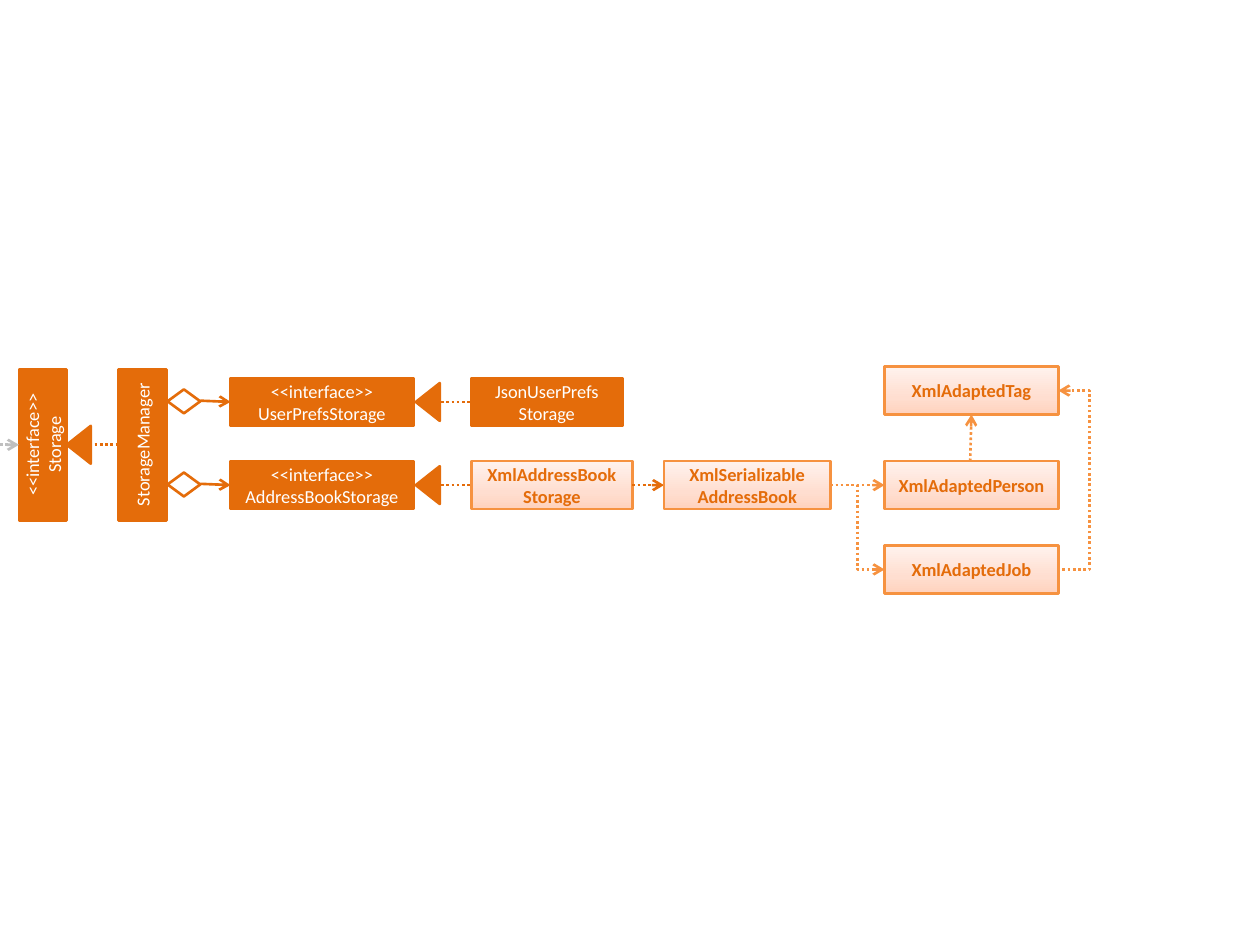
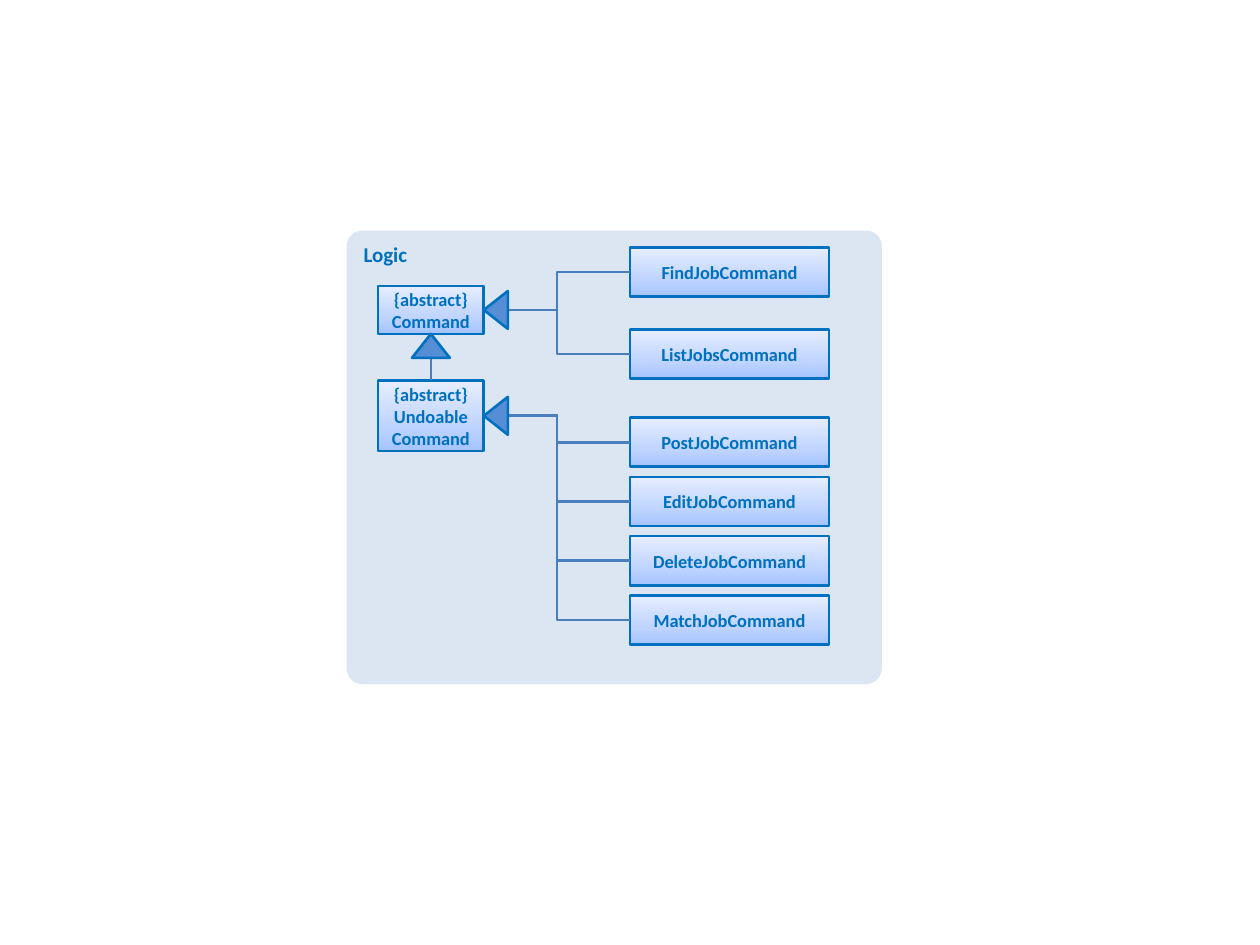
from copy import deepcopy

from lxml import etree
from pptx import Presentation
from pptx.dml.color import RGBColor
from pptx.enum.dml import MSO_LINE
from pptx.enum.shapes import MSO_CONNECTOR, MSO_SHAPE
from pptx.enum.text import MSO_ANCHOR, PP_ALIGN
from pptx.oxml.ns import qn
from pptx.util import Inches, Pt

RECTANGLE, ROUNDED = MSO_SHAPE.RECTANGLE, MSO_SHAPE.ROUNDED_RECTANGLE
TRIANGLE, DIAMOND = MSO_SHAPE.ISOSCELES_TRIANGLE, MSO_SHAPE.FLOWCHART_DECISION
STRAIGHT, ELBOW = MSO_CONNECTOR.STRAIGHT, MSO_CONNECTOR.ELBOW
DOTTED = MSO_LINE.ROUND_DOT
CENTER, MIDDLE = PP_ALIGN.CENTER, MSO_ANCHOR.MIDDLE

FONT = "Calibri"
WHITE, GRAY = "FFFFFF", "BFBFBF"
ORANGE, LIGHT_ORANGE = "E46C0A", "F69240"
BLUE, LINK_BLUE, ARROW_BLUE, PANEL_BLUE = "0070C0", "4B7EBC", "558ED5", "DCE6F2"
PEACH_SHADES = ("FFD2BD", "FFDED0", "FFF2ED")
BLUE_SHADES = ("A4C4FF", "BFD4FF", "E6EEFF")
SHADE_POSITIONS = (0, 0.35, 1)
BOX_HEIGHT = 0.38
TRIANGLE_BASE, TRIANGLE_HEIGHT = 0.3, 0.19
LINE_WIDTH = Pt(1.5)


def color(hex_code):
    return RGBColor.from_string(hex_code)


def fill_shades(shape, shades):
    """Fill with three shades running from the bottom edge to the top."""
    shape.fill.gradient()
    shape.fill.gradient_angle = 90
    first = shape._element.spPr.find(".//" + qn("a:gs"))
    first.addnext(deepcopy(first))
    for stop, shade, position in zip(shape.fill.gradient_stops, shades, SHADE_POSITIONS):
        stop.color.rgb = color(shade)
        stop.position = position


def write(shape, text, size, hex_code, bold):
    frame = shape.text_frame
    frame.word_wrap = True
    frame.text = text
    for para in frame.paragraphs:
        para.font.name = FONT
        para.font.size = Pt(size)
        para.font.bold = bold
        para.font.color.rgb = color(hex_code)
    return frame


class Diagram:
    """Draws on a page with all lengths in inches from its own corner."""

    def __init__(self, page, left, top):
        self.shapes = page.shapes
        self.left, self.top = left, top

    def point(self, x, y):
        return Inches(self.left + x), Inches(self.top + y)

    def shape(self, kind, x, y, width, height, fill=None, line=None):
        shape = self.shapes.add_shape(kind, *self.point(x, y), Inches(width), Inches(height))
        shape.shadow.inherit = False
        if isinstance(fill, tuple):
            fill_shades(shape, fill)
        elif fill:
            shape.fill.solid()
            shape.fill.fore_color.rgb = color(fill)
        else:
            shape.fill.background()
        if line:
            shape.line.color.rgb = color(line)
            shape.line.width = LINE_WIDTH
        else:
            shape.line.fill.background()
        return shape

    def class_box(self, text, x, middle, width, look, height=BOX_HEIGHT):
        fill, line, text_color, bold = look
        box = self.shape(RECTANGLE, x, middle - height / 2, width, height, fill, line)
        frame = write(box, text, 10.5, text_color, bold)
        frame.vertical_anchor = MIDDLE
        frame.margin_left = frame.margin_right = frame.margin_top = frame.margin_bottom = 0
        for para in frame.paragraphs:
            para.alignment = CENTER
        return box

    def triangle_left(self, tip_x, tip_y, fill, line):
        x = tip_x + (TRIANGLE_HEIGHT - TRIANGLE_BASE) / 2
        y = tip_y - TRIANGLE_HEIGHT / 2
        triangle = self.shape(TRIANGLE, x, y, TRIANGLE_BASE, TRIANGLE_HEIGHT, fill, line)
        triangle.rotation = 270

    def link(self, start, end, line, kind=STRAIGHT, dotted=False, arrow=False, bend=None):
        """Join two points; bend places an elbow as a multiple of its width."""
        link = self.shapes.add_connector(kind, *self.point(*start), *self.point(*end))
        link.line.color.rgb = color(line)
        link.line.width = LINE_WIDTH
        properties = link._element.spPr
        if dotted:
            link.line.dash_style = DOTTED
        if arrow:
            etree.SubElement(properties.find(qn("a:ln")), qn("a:tailEnd"), type="arrow")
        if bend is not None:
            guides = properties.find(qn("a:prstGeom")).get_or_add_avLst()
            etree.SubElement(guides, qn("a:gd"), name="adj1", fmla=f"val {bend * 100000}")
        etree.SubElement(properties, qn("a:effectLst"))


SOLID = (ORANGE, ORANGE, WHITE, False)
PEACH = (PEACH_SHADES, LIGHT_ORANGE, ORANGE, True)
SHADED_BLUE = (BLUE_SHADES, BLUE, BLUE, True)


def storage_row(diagram, middle, interface, implementation, width, look):
    diagram.class_box(interface, 1.68, middle, 1.45, SOLID)
    diagram.shape(DIAMOND, 1.18, middle - 0.1, 0.26, 0.19, line=ORANGE)
    diagram.link((1.44, middle - 0.01), (1.68, middle), ORANGE, arrow=True)
    diagram.link((3.35, middle), (3.59, middle), ORANGE, dotted=True)
    diagram.triangle_left(3.15, middle, ORANGE, ORANGE)
    diagram.class_box(implementation, 3.59, middle, width, look)


def storage_diagram(page, left, top):
    diagram = Diagram(page, left, top)
    center, prefs, book = 0.62, 0.28, 0.94
    tag, job = 0.19, 1.61
    for text, x in (("<<interface>>\nStorage", -0.41), ("StorageManager", 0.38)):
        diagram.class_box(text, x, center, 1.2, SOLID).rotation = 270
    diagram.triangle_left(0.38, center, ORANGE, ORANGE)
    diagram.link((-left, center), (0, center), GRAY, dotted=True, arrow=True)
    diagram.link((0.56, center), (0.8, center), ORANGE, dotted=True)

    storage_row(diagram, prefs, "<<interface>>\vUserPrefsStorage",
                "JsonUserPrefs\vStorage", 1.2, SOLID)
    storage_row(diagram, book, "<<interface>>\vAddressBookStorage",
                "XmlAddressBook\vStorage", 1.28, PEACH)
    diagram.link((4.87, book), (5.12, book), ORANGE, dotted=True, arrow=True)
    diagram.class_box("XmlSerializable\vAddressBook", 5.12, book, 1.32, PEACH)

    for name, middle in (("Tag", tag), ("Person", book), ("Job", job)):
        diagram.class_box("XmlAdapted" + name, 6.87, middle, 1.38, PEACH)
    dotted_arrow = {"line": LIGHT_ORANGE, "dotted": True, "arrow": True}
    diagram.link((6.44, book), (6.87, book), **dotted_arrow)
    diagram.link((6.44, book), (6.87, job), kind=ELBOW, **dotted_arrow)
    diagram.link((7.55, book - 0.19), (7.56, tag + 0.19), **dotted_arrow)
    diagram.link((8.24, job), (8.25, tag), kind=ELBOW, bend=26, **dotted_arrow)


def command_family(diagram, parent_middle, first_middle, step, names):
    """Stack the command boxes and link each to the parent on the left."""
    for index, name in enumerate(names):
        middle = first_middle + index * step
        diagram.class_box(name, 2.25, middle, 1.58, SHADED_BLUE, 0.39)
        diagram.link((1.09, parent_middle), (2.25, middle), LINK_BLUE, ELBOW)
    diagram.triangle_left(1.09, parent_middle, ARROW_BLUE, BLUE)


def logic_diagram(page, left, top):
    diagram = Diagram(page, left, top)
    panel = diagram.shape(ROUNDED, 0, 0, 4.25, 3.6, PANEL_BLUE)
    panel.adjustments[0] = 0.035
    frame = write(panel, "Logic", 12, BLUE, True)
    frame.vertical_anchor = MSO_ANCHOR.TOP
    frame.paragraphs[0].alignment = PP_ALIGN.LEFT

    command, undoable = 0.63, 1.47
    diagram.class_box("{abstract}\vCommand", 0.25, command, 0.84, SHADED_BLUE)
    diagram.class_box("{abstract}\vUndoable\nCommand", 0.25, undoable, 0.84, SHADED_BLUE, 0.56)
    diagram.link((0.67, 0.82), (0.67, 1.19), LINK_BLUE)
    diagram.shape(TRIANGLE, 0.52, 0.82, TRIANGLE_BASE, TRIANGLE_HEIGHT, ARROW_BLUE, BLUE)
    command_family(diagram, command, 0.33, 0.65, ["FindJobCommand", "ListJobsCommand"])
    command_family(diagram, undoable, 1.68, 0.47,
                   ["PostJobCommand", "EditJobCommand", "DeleteJobCommand", "MatchJobCommand"])


def main():
    deck = Presentation()
    deck.slide_width, deck.slide_height = Inches(10), Inches(7.5)
    blank = deck.slide_layouts[6]
    storage_diagram(deck.slides.add_slide(blank), 0.15, 2.91)
    logic_diagram(deck.slides.add_slide(blank), 2.75, 1.83)
    deck.save("out.pptx")


if __name__ == "__main__":
    main()
